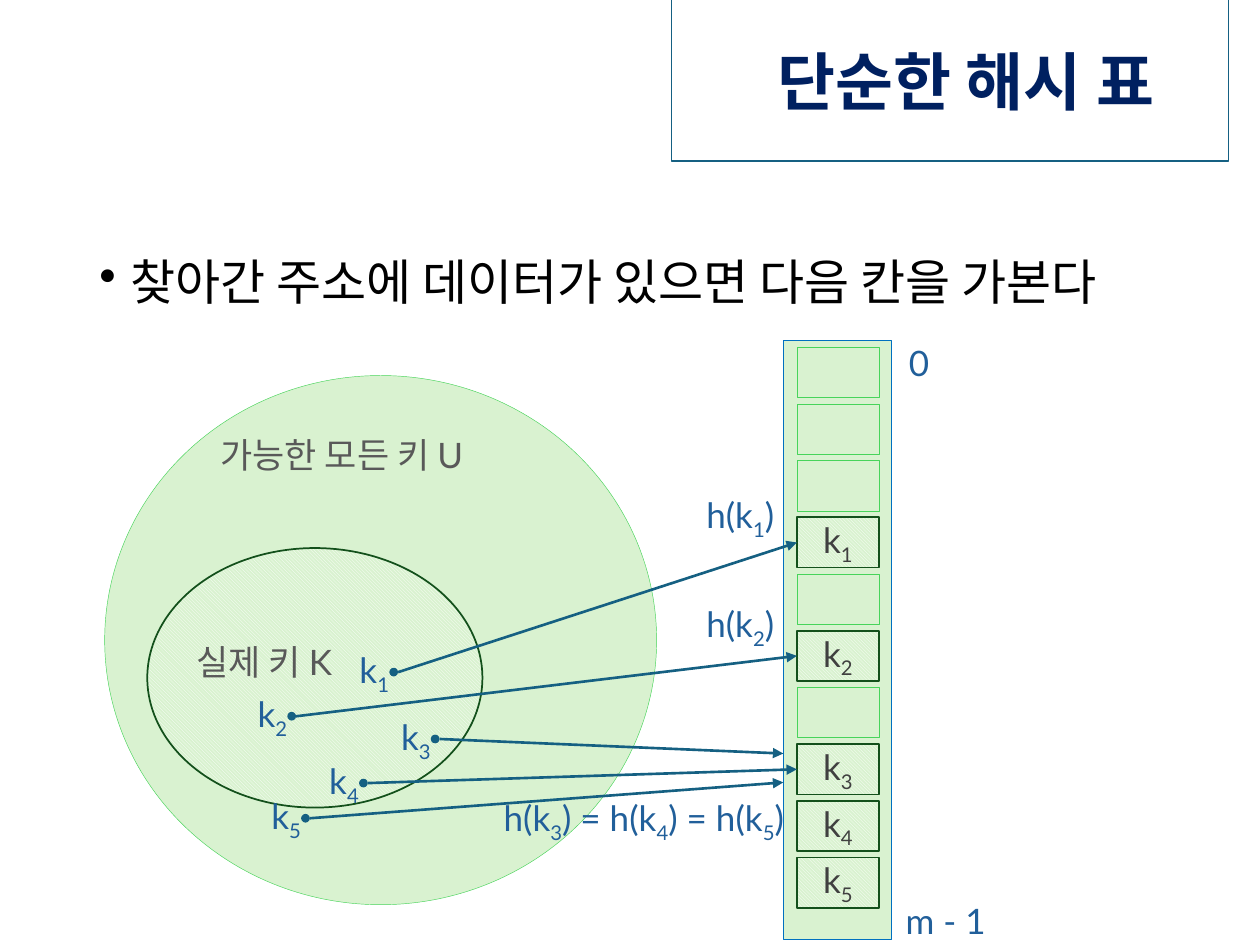
from lxml import etree
from pptx import Presentation
from pptx.dml.color import RGBColor
from pptx.enum.dml import MSO_PATTERN
from pptx.enum.shapes import MSO_CONNECTOR, MSO_SHAPE
from pptx.enum.text import MSO_ANCHOR, PP_ALIGN
from pptx.oxml.ns import qn
from pptx.util import Pt

RECT, OVAL = MSO_SHAPE.RECTANGLE, MSO_SHAPE.OVAL
LEFT, CENTER, RIGHT = PP_ALIGN.LEFT, PP_ALIGN.CENTER, PP_ALIGN.RIGHT
TOP, MIDDLE = MSO_ANCHOR.TOP, MSO_ANCHOR.MIDDLE
HATCH = MSO_PATTERN.DARK_DOWNWARD_DIAGONAL

FONT = "Lato"
TEAL, BLUE, GREY, DARK = "156082", "215F9A", "595959", "404040"
PALE, BRIGHT, FOREST = "D9F2D0", "47D45A", "13501B"

TITLE = "단순한 해시 표"
BULLET = "찾아간 주소에 데이터가 있으면 다음 칸을 가본다"
# An underscore makes the next character a subscript.
SLOTS = ["", "", "", "k_1", "", "k_2", "", "k_3", "k_4", "k_5"]
# key, dot left, dot top, target: slot index, or height on the table's edge
KEYS = [
    ("k_1", 222.5, 381.6, {"slot": 3}),
    ("k_2", 164.2, 406.8, {"slot": 5}),
    ("k_3", 246.2, 419.8, {"y": 430.6}),
    ("k_4", 205.2, 445, {"slot": 7}),
    ("k_5", 172.1, 465.1, {"y": 447.1}),
]
# text, box, colour, alignment
LABELS = [
    ("가능한 모든 키 U", (118.8, 237.6, 198, 44.6), GREY, LEFT),
    ("실제 키 K", (105.1, 355.7, 103, 44.6), GREY, LEFT),
    ("0", (501.8, 195.8, 46.8, 22.3), BLUE, CENTER),
    ("m - 1", (500.4, 514.8, 79.9, 22.3), BLUE, CENTER),
    ("h(k_1)", (389.5, 284.4, 67, 22.3), BLUE, CENTER),
    ("h(k_2)", (389.5, 347, 67, 22.3), BLUE, CENTER),
    ("h(k_3) = h(k_4) = h(k_5)", (267.1, 457.9, 201.6, 22.3), BLUE, CENTER),
]

TABLE = (447.6, 194.4, 62, 342.7)
SLOT_X, SLOT_Y, SLOT_W, SLOT_H, SLOT_PITCH = 455.4, 198.4, 46.8, 28.8, 32.4
DOT = 5
KEY_DX, KEY_DY = -32, -8.4


def rgb(color):
    return RGBColor.from_string(color)


def write(shape, text, size=20, color=BLUE, bold=False, align=CENTER,
          anchor=MIDDLE, spacing=None, insets=(7.2, 3.6, 7.2, 3.6), bullet=None):
    tf = shape.text_frame
    tf.word_wrap = True
    tf.vertical_anchor = anchor
    (tf.margin_left, tf.margin_top,
     tf.margin_right, tf.margin_bottom) = map(Pt, insets)
    p = tf.paragraphs[0]
    p.alignment = align
    if spacing:
        p.line_spacing = spacing
    if bullet:
        pPr = p._p.get_or_add_pPr()
        pPr.set("marL", str(Pt(18)))
        pPr.set("indent", str(-Pt(18)))
        etree.SubElement(pPr, qn("a:buChar")).set("char", bullet)
    first, *rest = text.split("_")
    pieces = [(first, False)]
    for part in rest:
        pieces += [(part[0], True), (part[1:], False)]
    for piece, subscript in pieces:
        if piece:
            r = p.add_run()
            r.text = piece
            r.font.name, r.font.size, r.font.bold = FONT, Pt(size), bold
            r.font.color.rgb = rgb(color)
            if subscript:
                r.font._element.set("baseline", "-25000")


def add_label(s, box, text, **fmt):
    write(s.shapes.add_textbox(*map(Pt, box)), text, **fmt)


def add_outline(s, kind, box, fill=None, line=None, width=0.25, hatch=False):
    sp = s.shapes.add_shape(kind, *map(Pt, box))
    sp.shadow.inherit = False
    if hatch:
        sp.fill.patterned()
        sp.fill.pattern = HATCH
        sp.fill.fore_color.rgb = rgb("FFFFFF")
        sp.fill.back_color.rgb = rgb(PALE)
    elif fill:
        sp.fill.solid()
        sp.fill.fore_color.rgb = rgb(fill)
    else:
        sp.fill.background()
    if line:
        sp.line.color.rgb = rgb(line)
        sp.line.width = Pt(width)
    else:
        sp.line.fill.background()
    return sp


def add_arrow(s, x1, y1, x2, y2):
    line = s.shapes.add_connector(MSO_CONNECTOR.STRAIGHT, *map(Pt, (x1, y1, x2, y2)))
    line.line.color.rgb = rgb(TEAL)
    line.line.width = Pt(1.5)
    etree.SubElement(line.line._get_or_add_ln(), qn("a:tailEnd")).set("type", "triangle")
    etree.SubElement(line._element.spPr, qn("a:effectLst"))
    return line


def main():
    prs = Presentation()
    prs.slide_width, prs.slide_height = Pt(720), Pt(540)
    s = prs.slides.add_slide(prs.slide_layouts[6])

    title = add_outline(s, RECT, (383.8, -3, 318.2, 95), line=TEAL, width=0.75)
    write(title, TITLE, size=36, color="002060", bold=True, align=RIGHT,
          spacing=0.9, insets=(42.5, 8.6, 42.5, 0))
    add_label(s, (49.7, 144, 670.3, 342.7), BULLET, size=28, color="000000",
              align=LEFT, anchor=TOP, spacing=0.9, bullet="•")

    add_outline(s, OVAL, (59.8, 214.6, 315.4, 302.4), PALE, BRIGHT)
    add_outline(s, OVAL, (84.2, 313.2, 191.5, 148.3), line=FOREST, width=1, hatch=True)
    add_outline(s, RECT, TABLE, PALE, "0070C0", 0.5)

    slots = []
    for i, key in enumerate(SLOTS):
        box = (SLOT_X, SLOT_Y + i * SLOT_PITCH, SLOT_W, SLOT_H)
        if key:
            slot = add_outline(s, RECT, box, line=FOREST, width=1, hatch=True)
            write(slot, key, color=DARK)
        else:
            slot = add_outline(s, RECT, box, line=BRIGHT)
        slots.append(slot)

    for key, x, y, target in KEYS:
        add_outline(s, OVAL, (x, y, DOT, DOT), TEAL)
        add_label(s, (x + KEY_DX, y + KEY_DY, 46.8, 22.3), key)
        end_y = target.get("y", y)
        arrow = add_arrow(s, x + DOT, y + DOT / 2, TABLE[0], end_y)
        if "slot" in target:
            arrow.end_connect(slots[target["slot"]], 1)

    for text, box, color, align in LABELS:
        add_label(s, box, text, color=color, align=align)

    prs.save("out.pptx")


if __name__ == "__main__":
    main()
